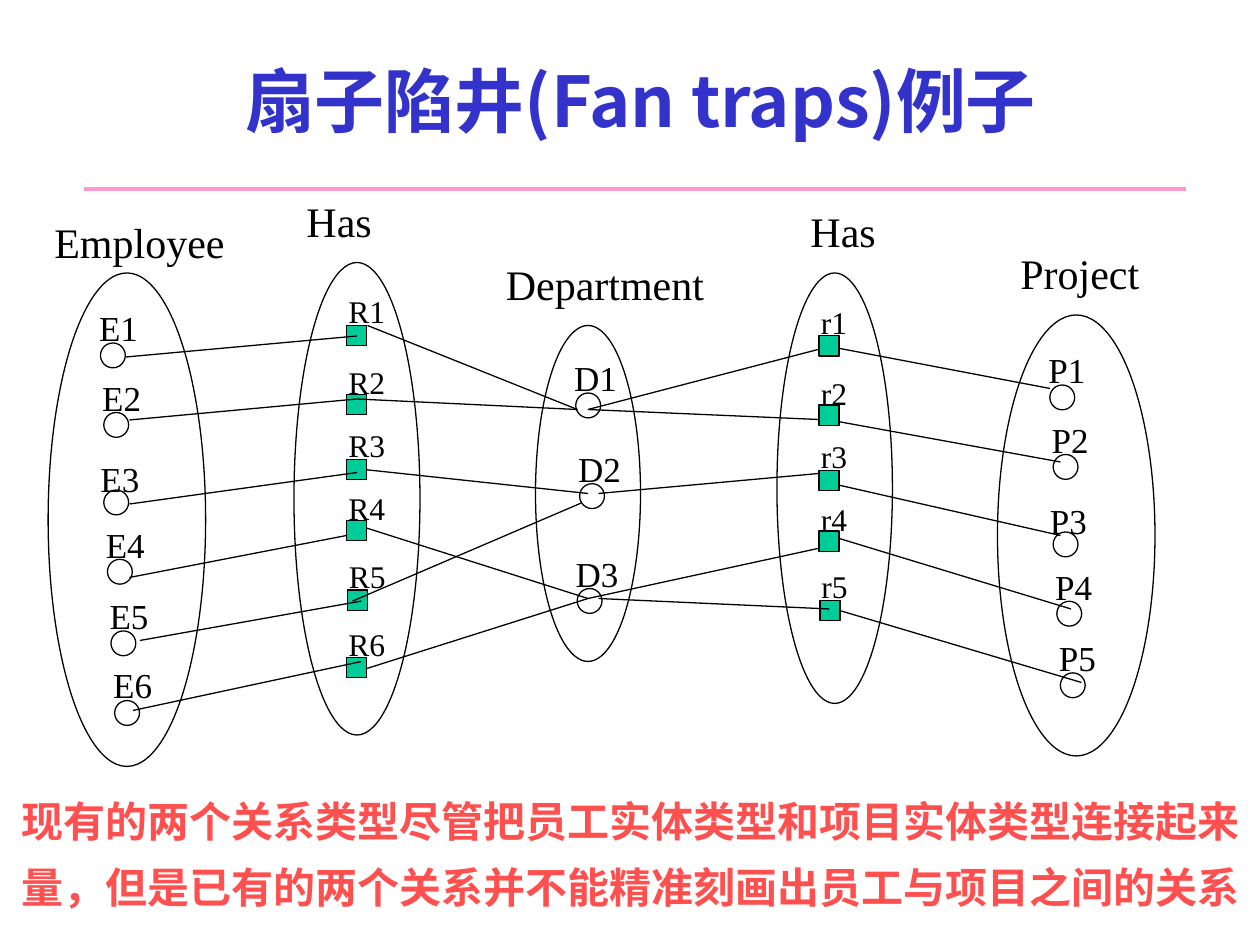
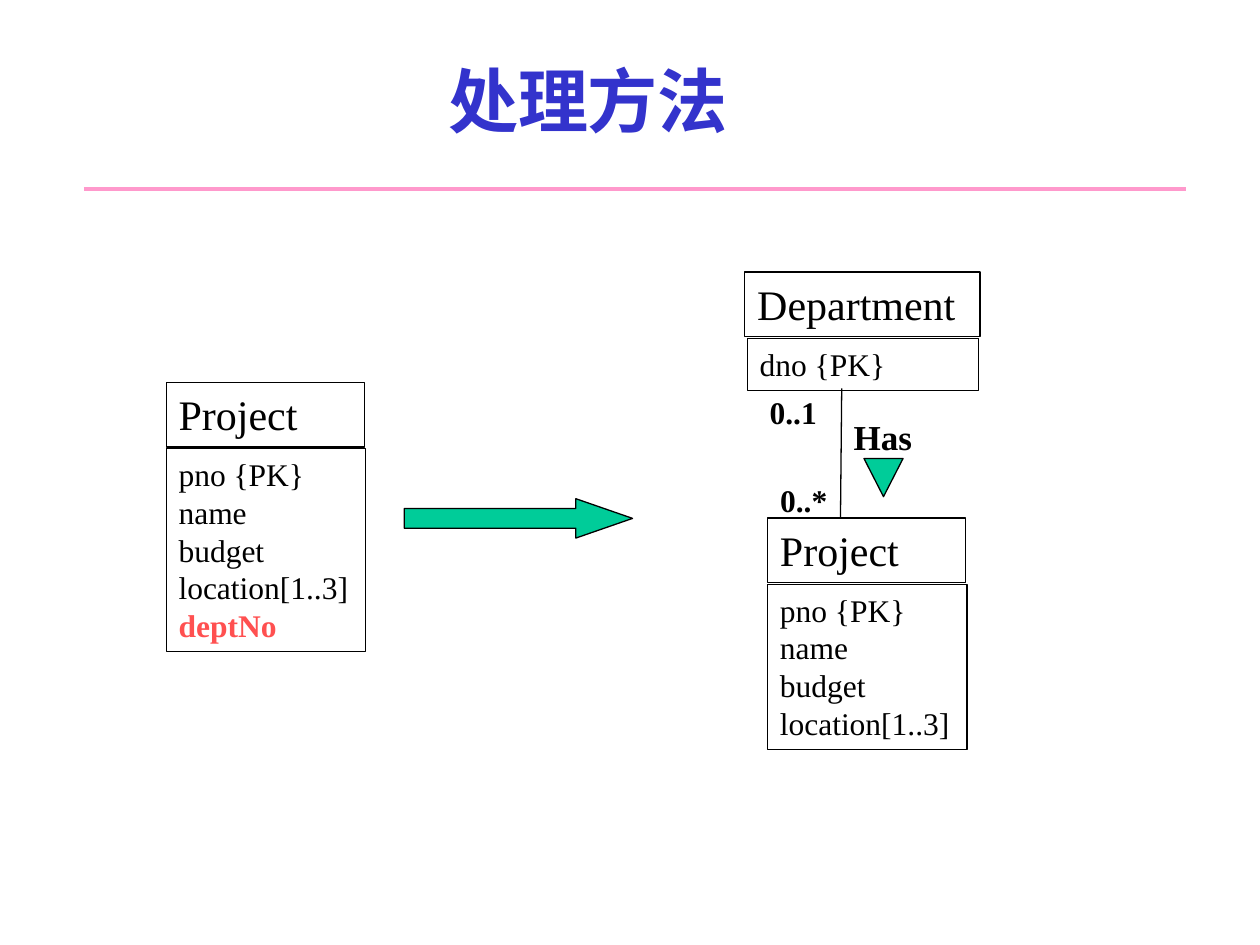
from dataclasses import dataclass

import pptx
import pptx.dml.color
import pptx.enum.shapes
import pptx.enum.text
import pptx.oxml.ns
import pptx.presentation
import pptx.shapes.autoshape
import pptx.slide
import pptx.util
from lxml import etree

Pt = pptx.util.Pt
RGB = pptx.dml.color.RGBColor
MSO = pptx.enum.shapes.MSO_SHAPE
ALIGN = pptx.enum.text.PP_ALIGN
ANCHOR = pptx.enum.text.MSO_ANCHOR
FIT = pptx.enum.text.MSO_AUTO_SIZE
Slide = pptx.slide.Slide
Shape = pptx.shapes.autoshape.Shape


@dataclass(frozen=True)
class Theme:
    title: RGB = RGB(0x33, 0x33, 0xCC)
    accent: RGB = RGB(0xFF, 0x50, 0x50)
    rule: RGB = RGB(0xFF, 0x99, 0xCC)
    green: RGB = RGB(0x00, 0xCC, 0x99)
    ink: RGB = RGB(0, 0, 0)
    cjk: str = "Noto Sans CJK SC"
    serif: str = "Times New Roman"
    title_size: float = 40
    head_size: float = 24
    label_size: float = 20
    small_size: float = 18
    outline: float = 0.75
    rule_width: float = 2


T = Theme()


@dataclass(frozen=True)
class Spot:
    """A marker's corner and its label's corner."""
    x: float
    y: float
    label_x: float
    label_y: float

    def moved(self, dx: float, dy: float) -> "Spot":
        return Spot(self.x + dx, self.y + dy, self.label_x + dx, self.label_y + dy)


@dataclass(frozen=True)
class EntitySet:
    name: str
    head: tuple[float, float, float]          # left, top, width
    oval: tuple[float, float, float, float]   # left, top, width, height
    prefix: str
    spots: list[Spot]
    label_width: float
    is_relation: bool = False


@dataclass(frozen=True)
class Link:
    x1: float
    y1: float
    x2: float
    y2: float
    start: str = ""   # square whose right side the link leaves from


@dataclass(frozen=True)
class ClassBox:
    name: str
    head: tuple[float, float, float, float]
    body: tuple[float, float, float, float]
    fields: list[str]
    dropped: str = ""   # field shown in the accent colour


# Shared drawing functions
def write(sp: Shape, text: str, size: float, color: RGB = T.ink, bold: bool = False,
          font: str = T.serif, align: ALIGN = ALIGN.LEFT, wrap: bool = False) -> None:
    tf = sp.text_frame
    tf.text = text
    tf.word_wrap = wrap
    tf.vertical_anchor = ANCHOR.TOP
    for p in tf.paragraphs:
        p.alignment = align
        for r in p.runs:
            r.font.size, r.font.bold, r.font.name = Pt(size), bold, font
            r.font.color.rgb = color
            ea = etree.SubElement(r.font._element, pptx.oxml.ns.qn("a:ea"))
            ea.set("typeface", font)


def add_text(s: Slide, x: float, y: float, w: float, h: float, text: str, size: float,
             **style) -> Shape:
    sp = s.shapes.add_textbox(Pt(x), Pt(y), Pt(w), Pt(h))
    write(sp, text, size, **style)
    return sp


def add_label(s: Slide, x: float, y: float, w: float, text: str, size: float,
              bold: bool = False) -> None:
    sp = add_text(s, x, y, w, size * 1.2 + 7.2, text, size, bold=bold)
    sp.text_frame.auto_size = FIT.SHAPE_TO_FIT_TEXT


def add_outlined(s: Slide, kind: MSO, x: float, y: float, w: float, h: float,
                 fill: RGB | None = None) -> Shape:
    sp = s.shapes.add_shape(kind, Pt(x), Pt(y), Pt(w), Pt(h))
    sp.shadow.inherit = False
    if fill is None:
        sp.fill.background()
    else:
        sp.fill.solid()
        sp.fill.fore_color.rgb = fill
    sp.line.color.rgb = T.ink
    sp.line.width = Pt(T.outline)
    return sp


def add_line(s: Slide, x1: float, y1: float, x2: float, y2: float, color: RGB = T.ink,
             width: float = T.outline, start: Shape | None = None) -> None:
    cn = s.shapes.add_connector(pptx.enum.shapes.MSO_CONNECTOR.STRAIGHT,
                                Pt(x1), Pt(y1), Pt(x2), Pt(y2))
    cn.line.color.rgb = color
    cn.line.width = Pt(width)
    etree.SubElement(cn._element.spPr, pptx.oxml.ns.qn("a:effectLst"))
    if start is not None:
        cn.begin_connect(start, 3)


def add_titled_slide(prs: pptx.presentation.Presentation, title: str,
                     left: float, width: float) -> Slide:
    s = prs.slides.add_slide(prs.slide_layouts[6])
    add_line(s, 48, 108, 678, 108, T.rule, T.rule_width)
    sp = add_text(s, left, 12, width, 90, title, T.title_size, color=T.title, bold=True,
                  font=T.cjk, align=ALIGN.CENTER, wrap=True)
    sp.text_frame.vertical_anchor = ANCHOR.MIDDLE
    return s


# Fan trap: the project side repeats the employee side, shifted
EMPLOYEES = [Spot(57.4, 196, 49.5, 171.5), Spot(59.3, 235.7, 51.3, 211.5),
             Spot(59.3, 280, 50.3, 258), Spot(61.4, 319.6, 53.4, 295.4),
             Spot(63.4, 360.5, 55.5, 336.2), Spot(65.5, 400.3, 57.6, 375.8)]
PROJECTS = [e.moved(542.5, 24) for e in EMPLOYEES[:5]]
DEPARTMENTS = [Spot(329, 224.6, 321, 200.3), Spot(331.2, 276.4, 323.2, 252),
               Spot(329.8, 336.3, 321.8, 312)]
HAS_LEFT = [Spot(198, 185.9, 192, 163.6), Spot(198, 225.5, 192, 204),
            Spot(198, 262.7, 192, 240), Spot(198, 297.5, 192, 276),
            Spot(198.6, 337.2, 192.3, 314.7), Spot(198, 375.7, 192, 353.6)]
HAS_RIGHT = [h.moved(270, 6) for h in HAS_LEFT[:5]]

SETS = [
    EntitySet("Employee", (24, 120, 114), (27.5, 156, 90, 282), "E", EMPLOYEES, 38),
    EntitySet("Has", (168, 108, 54), (168, 150, 72, 270), "R", HAS_LEFT, 37, True),
    EntitySet("Department", (282, 144, 130), (306, 186, 60, 192), "D", DEPARTMENTS, 40),
    EntitySet("Has", (456, 114, 54), (444, 156, 66, 246), "r", HAS_RIGHT, 31, True),
    EntitySet("Project", (576, 138, 86), (570, 180, 90, 252), "P", PROJECTS, 37),
]

LINKS_BEHIND = [
    Link(74, 330, 198, 306), Link(204, 300, 336, 342), Link(206.5, 383, 336, 342),
    Link(336, 234, 474, 198), Link(336, 234, 474, 240), Link(342, 282, 474, 270),
    Link(336, 342, 474, 312), Link(474, 198, 600, 222), Link(474, 240, 606, 264),
    Link(474, 276, 606, 306), Link(474, 306, 612, 348),
]
LINKS_IN_FRONT = [
    Link(72, 204, 204, 192), Link(74, 240, 204, 228), Link(74, 288, 204, 270),
    Link(80, 366, 206.5, 343.5), Link(76, 406, 206.5, 378), Link(210, 186, 330, 234),
    Link(204, 228, 330, 234), Link(210, 270, 336, 282, "R3"),
    Link(201.5, 343.5, 332, 287.5), Link(342, 342, 474, 348),
    Link(480, 348, 618, 390, "r5"),
]


def add_entity_set(s: Slide, e: EntitySet) -> dict[str, Shape]:
    x, y, w = e.head
    add_label(s, x, y, w, e.name, T.head_size)
    add_outlined(s, MSO.OVAL, *e.oval)
    if e.is_relation:
        kind, side, fill, size = MSO.RECTANGLE, 11.5, T.green, T.small_size
    else:
        kind, side, fill, size = MSO.OVAL, 14.2, None, T.label_size
    markers = {}
    for n, spot in enumerate(e.spots, 1):
        name = f"{e.prefix}{n}"
        markers[name] = add_outlined(s, kind, spot.x, spot.y, side, side, fill)
        add_label(s, spot.label_x, spot.label_y, e.label_width, name, size)
    return markers


def build_fan_trap(prs: pptx.presentation.Presentation) -> None:
    s = add_titled_slide(prs, "扇子陷井(Fan traps)例子", 60, 612)
    sp = add_text(s, 5, 442.5, 715, 96,
                  "现有的两个关系类型尽管把员工实体类型和项目实体类型连接起来量，"
                  "但是已有的两个关系并不能精准刻画出员工与项目之间的关系",
                  T.head_size, color=T.accent, bold=True, font=T.cjk, wrap=True)
    sp.text_frame.paragraphs[0].line_spacing = 1.3
    markers: dict[str, Shape] = {}
    for link in LINKS_BEHIND:
        add_line(s, link.x1, link.y1, link.x2, link.y2)
    for e in SETS:
        markers |= add_entity_set(s, e)
    for link in LINKS_IN_FRONT:
        add_line(s, link.x1, link.y1, link.x2, link.y2, start=markers.get(link.start))


# Solution: class boxes before and after
PROJECT_FIELDS = ["pno {PK}", "name", "budget", "location[1..3]"]
CLASSES = [
    ClassBox("Department", (425.6, 155.5, 134.5, 37), (427, 193.5, 132, 29.5), ["dno {PK}"]),
    ClassBox("Project", (438.6, 296, 113.2, 37), (438.6, 334, 114, 94.5), PROJECT_FIELDS),
    ClassBox("Project", (95, 218.5, 113.2, 37), (95, 256.5, 114, 116),
             PROJECT_FIELDS + ["deptNo"], "deptNo"),
]


def add_class_box(s: Slide, box: ClassBox) -> None:
    write(add_outlined(s, MSO.RECTANGLE, *box.head), box.name, T.head_size)
    sp = add_outlined(s, MSO.RECTANGLE, *box.body)
    write(sp, "\n".join(box.fields), T.small_size, wrap=True)
    for p in sp.text_frame.paragraphs:
        if p.text == box.dropped:
            p.runs[0].font.bold = True
            p.runs[0].font.color.rgb = T.accent


def build_solution(prs: pptx.presentation.Presentation) -> None:
    s = add_titled_slide(prs, "处理方法", 0, 672)
    for box in CLASSES:
        add_class_box(s, box)
    # Relationship with its multiplicities
    add_line(s, 481, 222, 480.3, 296)
    add_label(s, 480.7, 234, 52, "Has", T.label_size, bold=True)
    add_outlined(s, MSO.FLOWCHART_MERGE, 493.7, 262, 22.3, 21.8, T.green)
    add_label(s, 432.7, 221.3, 44, "0..1", T.small_size, bold=True)
    add_label(s, 438.7, 271.2, 44, "0..*", T.small_size, bold=True)
    # Arrow from the old model to the new one
    arrow = add_outlined(s, MSO.RIGHT_ARROW, 231, 285, 130.5, 22.5, T.green)
    arrow.adjustments[0], arrow.adjustments[1] = 0.5, 1.44


def main() -> None:
    prs = pptx.Presentation()
    prs.slide_width, prs.slide_height = Pt(720), Pt(540)
    build_fan_trap(prs)
    build_solution(prs)
    prs.save("out.pptx")


if __name__ == "__main__":
    main()
